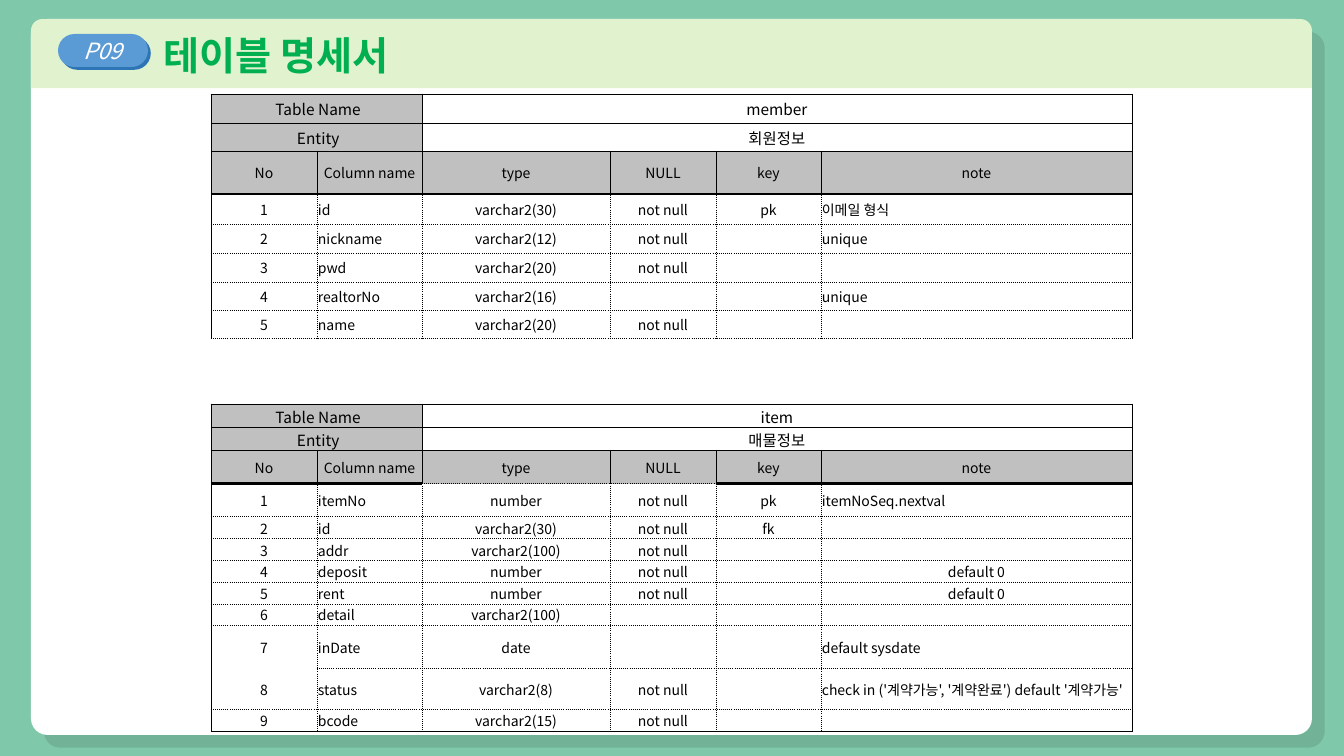
from lxml import etree
from pptx import Presentation
from pptx.dml.color import RGBColor
from pptx.enum.shapes import MSO_SHAPE as Shape
from pptx.enum.text import MSO_ANCHOR as Anchor, PP_ALIGN as Align
from pptx.oxml.ns import qn
from pptx.util import Emu, Pt

SCALE = 12192000 / 1344
FONT = "Noto Sans CJK KR"

BLACK = RGBColor(0x00, 0x00, 0x00)
WHITE = RGBColor(0xFF, 0xFF, 0xFF)
MINT = RGBColor(0x7F, 0xC8, 0xAA)
PALE_GREEN = RGBColor(0xE1, 0xF2, 0xCE)
TITLE_GREEN = RGBColor(0x00, 0xB0, 0x50)
BLUE = RGBColor(0x5B, 0x9B, 0xD5)
DARK_BLUE = RGBColor(0x2E, 0x75, 0xB6)
GRAY = RGBColor(0xC0, 0xC0, 0xC0)

SOLID = (0.5, "solid")
DOTTED = (0.5, "sysDot")
THICK = (2, "solid")

COLUMN_WIDTHS = [106, 105, 188, 106, 105, 311]
HEADINGS = ["No", "Column name", "type", "NULL", "key", "note"]
COLUMN_ALIGNS = [Align.CENTER, Align.JUSTIFY, Align.CENTER, Align.CENTER, Align.CENTER, Align.LEFT]
CENTERED_NOTE = "default 0"
HEADER_ROWS = 3

MEMBER_ROW_HEIGHTS = [29, 28, 43, 30, 29, 29, 28, 29]
MEMBER_COLUMNS = [
    ("id", "varchar2(30)", "not null", "pk", "이메일 형식"),
    ("nickname", "varchar2(12)", "not null", "", "unique"),
    ("pwd", "varchar2(20)", "not null", "", ""),
    ("realtorNo", "varchar2(16)", "", "", "unique"),
    ("name", "varchar2(20)", "not null", "", ""),
]
ITEM_ROW_HEIGHTS = [22, 22, 33, 33, 22, 22, 21, 22, 21, 43, 34, 22]
ITEM_COLUMNS = [
    ("itemNo", "number", "not null", "pk", "itemNoSeq.nextval"),
    ("id", "varchar2(30)", "not null", "fk", ""),
    ("addr", "varchar2(100)", "not null", "", ""),
    ("deposit", "number", "not null", "", CENTERED_NOTE),
    ("rent", "number", "not null", "", CENTERED_NOTE),
    ("detail", "varchar2(100)", "", "", ""),
    ("inDate", "date", "", "", "default sysdate"),
    ("status", "varchar2(8)", "not null", "", "check in ('계약가능', '계약완료') default '계약가능'"),
    ("bcode", "varchar2(15)", "not null", "", ""),
]


def px(length):
    return Emu(round(length * SCALE))


def write_text(frame, text, size, color=BLACK, align=Align.LEFT, bold=False, italic=False, indent=0):
    paragraph = frame.paragraphs[0]
    paragraph.alignment = align
    if indent:
        paragraph._p.get_or_add_pPr().set("marL", str(px(indent)))
    if text:
        run = paragraph.add_run()
        run.text = text
        font = run.font
        font.name, font.size, font.bold, font.italic = FONT, Pt(size), bold, italic
        font.color.rgb = color
        east_asian = etree.Element(qn("a:ea"), typeface=FONT)
        font._element.find(qn("a:latin")).addnext(east_asian)
    # The end mark keeps empty cells from growing to the default text size.
    etree.SubElement(paragraph._p, qn("a:endParaRPr"), sz=str(size * 100))


def add_panel(shapes, kind, box, fill, corner=None):
    panel = shapes.add_shape(kind, *map(px, box))
    panel.shadow.inherit = False
    panel.fill.solid()
    panel.fill.fore_color.rgb = fill
    panel.line.fill.background()
    panel.text_frame.vertical_anchor = Anchor.MIDDLE
    if corner is not None:
        panel.adjustments[0] = corner
    return panel


def add_hard_shadow(shape, color, opacity, distance):
    """Cast an unblurred shadow down and to the right."""
    effects = shape._element.spPr.find(qn("a:effectLst"))
    shadow = etree.SubElement(
        effects, qn("a:outerShdw"), blurRad="0", dist=str(px(distance)),
        dir=str(45 * 60000), algn="tl", rotWithShape="0")
    tint = etree.SubElement(shadow, qn("a:srgbClr"), val=str(color))
    etree.SubElement(tint, qn("a:alpha"), val=str(opacity * 1000))


def add_card(slide, left, top, width, height):
    """Place the white card with its title band and page pill."""
    shapes = slide.shapes.add_group_shape().shapes
    card = add_panel(shapes, Shape.ROUNDED_RECTANGLE, (left, top, width, height), WHITE, 0.023)
    add_hard_shadow(card, BLACK, 10, 18)

    band = add_panel(shapes, Shape.ROUND_2_SAME_RECTANGLE, (left, top, width, 69), PALE_GREEN)
    write_text(band.text_frame, "테이블 명세서", 28, TITLE_GREEN, bold=True, indent=119)

    pill = add_panel(shapes, Shape.ROUNDED_RECTANGLE, (left + 27, top + 15, 90, 33), BLUE, 0.5)
    add_hard_shadow(pill, DARK_BLUE, 100, 4)
    write_text(pill.text_frame, "P09", 16, WHITE, Align.CENTER, italic=True)


def set_border(cell, side, line):
    properties = cell._tc.get_or_add_tcPr()
    border = etree.SubElement(properties, qn(f"a:ln{side}"))
    if line is None:
        etree.SubElement(border, qn("a:noFill"))
        return
    width, dash = line
    border.set("w", str(Pt(width)))
    fill = etree.SubElement(border, qn("a:solidFill"))
    etree.SubElement(fill, qn("a:srgbClr"), val=str(BLACK))
    etree.SubElement(border, qn("a:prstDash"), val=dash)


def format_cell(cell, text, size, align, filled):
    cell.margin_left = cell.margin_top = cell.margin_right = px(1)
    cell.margin_bottom = 0
    cell.vertical_anchor = Anchor.MIDDLE
    if filled:
        cell.fill.solid()
        cell.fill.fore_color.rgb = GRAY
    else:
        cell.fill.background()
    write_text(cell.text_frame, text, size, align=align)


def add_specification(slide, left, top, row_heights, name, entity, columns,
                      last_line=DOTTED, dotted_headings=(), open_edge=None):
    """Place one table; open_edge is the (row boundary, column) left without a line."""
    last_row, last_column = len(row_heights), len(COLUMN_WIDTHS)
    table = slide.shapes.add_table(
        last_row, last_column, px(left), px(top),
        px(sum(COLUMN_WIDTHS)), px(sum(row_heights))).table
    table.first_row = table.horz_banding = False
    for column, width in zip(table.columns, COLUMN_WIDTHS):
        column.width = px(width)
    for row, height in zip(table.rows, row_heights):
        row.height = px(height)

    def vertical_line(row, boundary):
        return SOLID if row < HEADER_ROWS or boundary in (0, last_column) else DOTTED

    def horizontal_line(boundary, column):
        if boundary < HEADER_ROWS:
            return SOLID
        if boundary == HEADER_ROWS:
            return DOTTED if HEADINGS[column] in dotted_headings else THICK
        if boundary == last_row:
            return last_line
        return None if (boundary, column) == open_edge else DOTTED

    contents = [(" Table Name", "", name, "", "", ""), (" Entity", "", entity, "", "", ""), HEADINGS]
    contents += [(str(number), *values) for number, values in enumerate(columns, 1)]
    for row, values in enumerate(contents):
        for column, text in enumerate(values):
            cell = table.cell(row, column)
            set_border(cell, "L", vertical_line(row, column))
            set_border(cell, "R", vertical_line(row, column + 1))
            set_border(cell, "T", horizontal_line(row, column))
            set_border(cell, "B", horizontal_line(row + 1, column))
            centered = row < HEADER_ROWS or text == CENTERED_NOTE
            align = Align.CENTER if centered else COLUMN_ALIGNS[column]
            filled = row == 2 or (row < 2 and column < 2)
            format_cell(cell, text, 11 if row < 2 else 10, align, filled)
    for row in range(2):
        table.cell(row, 0).merge(table.cell(row, 1))
        table.cell(row, 2).merge(table.cell(row, last_column - 1))


def main():
    presentation = Presentation()
    presentation.slide_width, presentation.slide_height = px(1344), px(756)
    slide = presentation.slides.add_slide(presentation.slide_layouts[6])
    slide.background.fill.solid()
    slide.background.fill.fore_color.rgb = MINT

    add_card(slide, 31, 19, 1281, 716)
    add_specification(slide, 211, 94, MEMBER_ROW_HEIGHTS, "member", "회원정보", MEMBER_COLUMNS)
    add_specification(slide, 211, 404, ITEM_ROW_HEIGHTS, "item", "매물정보", ITEM_COLUMNS,
                      last_line=SOLID, dotted_headings=("type", "NULL"), open_edge=(10, 0))
    presentation.save("out.pptx")


if __name__ == "__main__":
    main()
